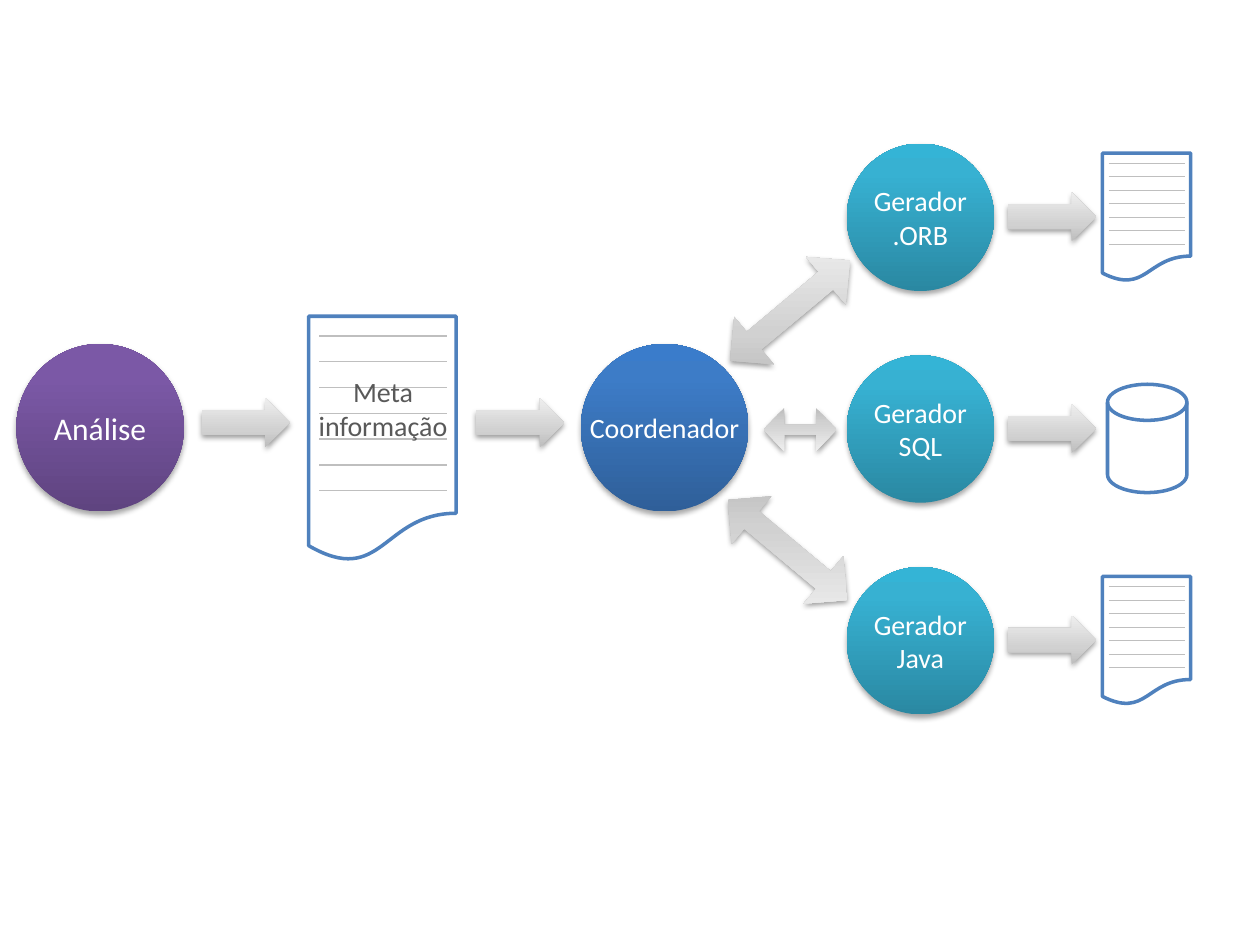
import pptx
import pptx.util
import pptx.dml.color
import pptx.enum.shapes
import pptx.enum.text
import pptx.oxml.ns
import lxml.etree

KIND = pptx.enum.shapes.MSO_SHAPE
ALIGN = pptx.enum.text.PP_ALIGN
MID = pptx.enum.text.MSO_ANCHOR.MIDDLE
qn = pptx.oxml.ns.qn
sub = lxml.etree.SubElement

# Gradient stops from bottom to top
GREY = {0: "BDBDBD", 35: "D1D1D1", 100: "EEEEEE"}
PLUM = {0: "5F4480", 80: "7B58A6", 100: "7C57A8"}
BLUE = {0: "2F5F99", 80: "3D7CC7", 100: "3A7CCB"}
TEAL = {0: "2A88A2", 80: "37B1D2", 100: "34B4D6"}

deck = pptx.Presentation()
deck.slide_width = pptx.util.Inches(10)
deck.slide_height = pptx.util.Inches(7.5)
slide = deck.slides.add_slide(deck.slide_layouts[6])
CELL = deck.slide_width / 100  # grid of 100 columns by 75 rows


def grid(*cells):
    return [round(n * CELL) for n in cells]


def tint(part, code):
    if hasattr(part, "solid"):
        part.solid()
        part = part.fore_color
    else:
        part = part.color
    part.rgb = pptx.dml.color.RGBColor.from_string(code)


def put(form, items):
    for name, value in items.items():
        setattr(form, name, value)


def write(shape, lines, size, code, wrap):
    frame = shape.text_frame
    frame.text = lines
    put(frame, {"word_wrap": wrap, "vertical_anchor": MID})
    for para in frame.paragraphs:
        para.alignment = ALIGN.CENTER
        put(para.runs[0].font, {"size": pptx.util.Pt(size), "name": "Calibri"})
        tint(para.runs[0].font.fill, code)


def glossy(kind, box, stops, dark=35):
    """Shape with a vertical gradient and a soft shadow below."""
    shape = slide.shapes.add_shape(kind, *grid(*box))
    shape.line.fill.background()
    shape.fill.gradient()
    shape.fill.gradient_angle = 90
    props = shape._element.spPr
    fill = props.find(qn("a:gradFill"))
    fill.set("rotWithShape", "0")
    ramp = fill.find(qn("a:gsLst"))
    for old in list(ramp):
        ramp.remove(old)
    for pos, code in stops.items():
        stop = sub(ramp, qn("a:gs"), pos=str(pos * 1000))
        sub(stop, qn("a:srgbClr"), val=code)
    shape.shadow.inherit = False
    cast = sub(props.find(qn("a:effectLst")), qn("a:outerShdw"), blurRad="40000",
               dist="20000" if dark == 38 else "23000", dir="5400000", rotWithShape="0")
    black = sub(cast, qn("a:srgbClr"), val="000000")
    sub(black, qn("a:alpha"), val=str(dark * 1000))
    return shape


def plain(shapes, kind, box):
    shape = shapes.add_shape(kind, *grid(*box))
    shape.shadow.inherit = False
    tint(shape.fill, "FFFFFF")
    tint(shape.line, "4F81BD")
    shape.line.width = pptx.util.Pt(2)
    return shape


def ball(box, stops, lines, size=16, wrap=False):
    write(glossy(KIND.OVAL, box, stops), lines, size, "FFFFFF", wrap)


def arrow(left, top):
    glossy(KIND.RIGHT_ARROW, (left, top, 7, 3.9), GREY, 38)


def link(box, turn, ends, flip):
    shape = glossy(KIND.LEFT_RIGHT_ARROW, box, GREY, 38)
    shape.rotation = turn
    shape.adjustments[0], shape.adjustments[1] = ends
    if flip:
        shape._element.spPr.find(qn("a:xfrm")).set("flipV", "1")


def sheet(box):
    """Document with seven ruled lines."""
    left, top, wide, high = box
    group = slide.shapes.add_group_shape()
    plain(group.shapes, KIND.FLOWCHART_DOCUMENT, box)
    for row in range(7):
        y = top + high * (0.08 + 0.105 * row)
        rule = group.shapes.add_connector(
            pptx.enum.shapes.MSO_CONNECTOR.STRAIGHT,
            *grid(left + 0.07 * wide, y, left + 0.94 * wide, y))
        tint(rule.line, "BFBFBF")
        rule.line.width = pptx.util.Pt(0.75)
        sub(rule._element.spPr, qn("a:effectLst"))
    return group


def branch(left, top, name, disk):
    """Generator, its arrow and its output."""
    ball((left, top, 11.7, 11.7), TEAL, "Gerador\n" + name)
    arrow(left + 12.8, top + 3.85)
    if disk:
        plain(slide.shapes, KIND.FLOWCHART_MAGNETIC_DISK,
              (left + 20.7, top + 2.3, 6.3, 8.6))
    else:
        sheet((left + 20.3, top + 0.75, 7, 10.2))


# Links between coordinator and generators
for box, turn, ends, flip in (
        ((56.5, 22.2, 12.4, 4.9), 320.1, (0.371, 0.507), False),
        ((60.6, 32.4, 5.8, 3.4), 0, (0.23, 0.479), True),
        ((56.3, 41.2, 12.4, 4.9), 39.9, (0.371, 0.507), True)):
    link(box, turn, ends, flip)

# Analysis, meta information and coordinator
meta = sheet((24.5, 25.1, 11.7, 19.5))
label = meta.shapes.add_textbox(*grid(23, 29.2, 14.8, 6.4))
write(label, "Meta informação", 16, "595959", True)
ball((1.3, 27.3, 13.3, 13.3), PLUM, "Análise", 18, True)
ball((46.1, 27.3, 13.3, 13.3), BLUE, "Coordenador")
for left in (16, 37.8):
    arrow(left, 31.6)

# Generators and their outputs
for row, name in enumerate((".ORB", "SQL", "Java")):
    branch(67.2, 11.4 + 16.8 * row, name, name == "SQL")

deck.save("out.pptx")
